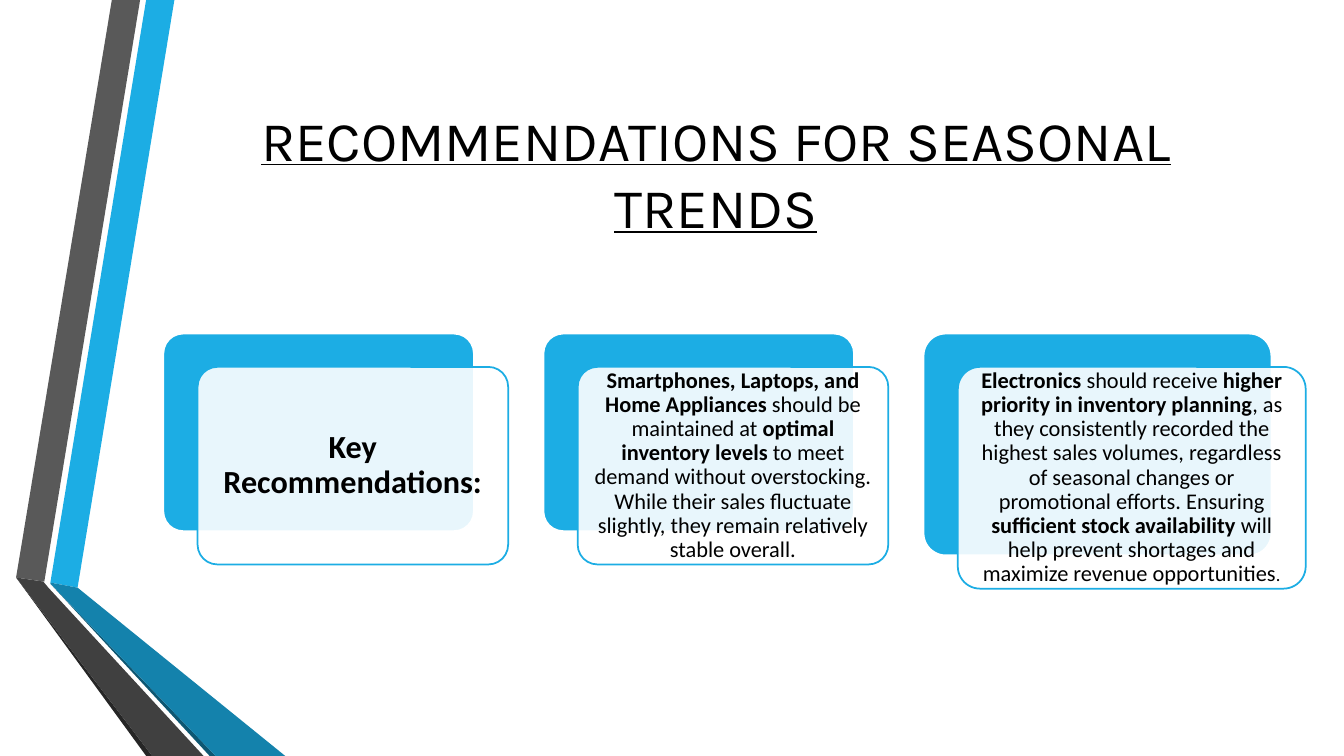
from lxml import etree
from pptx import Presentation
from pptx.dml.color import RGBColor
from pptx.enum import shapes, text
from pptx.oxml import ns
from pptx.util import Inches, Pt

COLORS = {
    "blue": "1CADE4",
    "mid_blue": "1482AC",
    "deep_blue": "0E5772",
    "gray": "595959",
    "dark_gray": "404040",
    "deep_gray": "262626",
    "white": "FFFFFF",
    "black": "000000",
}

RIBBONS = [
    ("blue", [(0.5, 5.78), (0.77, 5.83), (1.73, 0), (1.45, 0)]),
    ("gray", [(1.39, 0), (1.11, 0), (0.16, 5.73), (0.44, 5.77)]),
    ("deep_gray", [(0.16, 5.73), (1.45, 7.5), (1.51, 7.5)]),
    ("deep_blue", [(0.5, 5.79), (2.08, 7.5), (2.14, 7.5)]),
    ("mid_blue", [(0.5, 5.78), (0.5, 5.79), (2.14, 7.5), (2.83, 7.5), (0.77, 5.83)]),
    ("dark_gray", [(2.02, 7.5), (0.48, 5.83), (0.43, 5.77), (0.16, 5.73), (1.51, 7.5)]),
]

CARDS = [
    (3.08, 1.96, 0.1, [("Key Recommendations:", 23, True)]),
    (3.08, 1.96, 0.07, [
        ("Smartphones, Laptops, and Home Appliances", 16, True),
        (" should be maintained at ", 16, False),
        ("optimal inventory levels", 16, True),
        (" to meet demand without overstocking. While their sales fluctuate "
         "slightly, they remain relatively stable overall.", 16, False),
    ]),
    (3.45, 2.2, 0.07, [
        ("Electronics", 16, True),
        (" should receive ", 16, False),
        ("higher priority in inventory planning", 16, True),
        (", as they consistently recorded the highest sales volumes, regardless "
         "of seasonal changes or promotional efforts. Ensuring ", 16, False),
        ("sufficient stock availability", 16, True),
        (" will help prevent shortages and maximize revenue opportunities", 16, False),
        (".", 13, False),
    ]),
]
CARD_LEFT, CARD_TOP, CARD_STEP = 1.62, 3.31, 3.77
FRONT_SHIFT_X, FRONT_SHIFT_Y = 0.34, 0.33
TEXT_MARGIN = 0.06


def color(name):
    return RGBColor.from_string(COLORS[name])


def apply_format(target, values):
    for name, value in values.items():
        setattr(target, name, value)


def fill_shape(shape, fill):
    shape.shadow.inherit = False
    shape.fill.solid()
    shape.fill.fore_color.rgb = color(fill)


def add_ribbon(slide, fill, points):
    corners = [(Inches(x), Inches(y)) for x, y in points]
    builder = slide.shapes.build_freeform(*corners[0])
    builder.add_line_segments(corners[1:], close=True)
    shape = builder.convert_to_shape()
    fill_shape(shape, fill)
    shape.line.fill.background()


def add_panel(slide, box, fill, line, opacity=100):
    shape = slide.shapes.add_shape(
        shapes.MSO_SHAPE.ROUNDED_RECTANGLE, *map(Inches, box))
    shape.adjustments[0] = 0.1
    fill_shape(shape, fill)
    shape.line.color.rgb = color(line)
    shape.line.width = Pt(1.25)
    if opacity < 100:
        fill_color = shape._element.spPr.find(
            f"{ns.qn('a:solidFill')}/{ns.qn('a:srgbClr')}")
        alpha = etree.SubElement(fill_color, ns.qn("a:alpha"))
        alpha.set("val", str(opacity * 1000))


def add_text(slide, box, runs, font, inset, line_spacing=1.0):
    frame = slide.shapes.add_textbox(*map(Inches, box)).text_frame
    apply_format(frame, {
        "word_wrap": True,
        "auto_size": text.MSO_AUTO_SIZE.NONE,
        "vertical_anchor": text.MSO_ANCHOR.MIDDLE,
    })
    for side in ("left", "top", "right", "bottom"):
        setattr(frame, f"margin_{side}", Inches(inset))
    paragraph = frame.paragraphs[0]
    apply_format(paragraph, {
        "alignment": text.PP_ALIGN.CENTER,
        "line_spacing": line_spacing,
    })
    for wording, size, bold in runs:
        run = paragraph.add_run()
        run.text = wording
        apply_format(run.font, {"size": Pt(size), "bold": bold, **font})
        run.font.color.rgb = color("black")


def add_card(slide, left, width, height, inset, runs):
    front_left = left + FRONT_SHIFT_X
    front_top = CARD_TOP + FRONT_SHIFT_Y
    add_panel(slide, (left, CARD_TOP, width, height), "blue", "white")
    add_panel(slide, (front_left, front_top, width, height), "white", "blue", 90)
    text_box = (front_left + TEXT_MARGIN, front_top + TEXT_MARGIN,
                width - 2 * TEXT_MARGIN, height - 2 * TEXT_MARGIN)
    add_text(slide, text_box, runs, {"name": "Calibri"}, inset, 0.9)


def main():
    presentation = Presentation()
    presentation.slide_width = Inches(13.33)
    presentation.slide_height = Inches(7.5)
    slide = presentation.slides.add_slide(presentation.slide_layouts[6])
    for fill, points in RIBBONS:
        add_ribbon(slide, fill, points)
    add_text(slide, (1.62, 0.75, 10.96, 1.92),
             [("RECOMMENDATIONS FOR SEASONAL TRENDS", 40, False)],
             {"name": "Karla", "underline": True}, 0.1)
    for index, card in enumerate(CARDS):
        add_card(slide, CARD_LEFT + index * CARD_STEP, *card)
    presentation.save("out.pptx")


if __name__ == "__main__":
    main()
